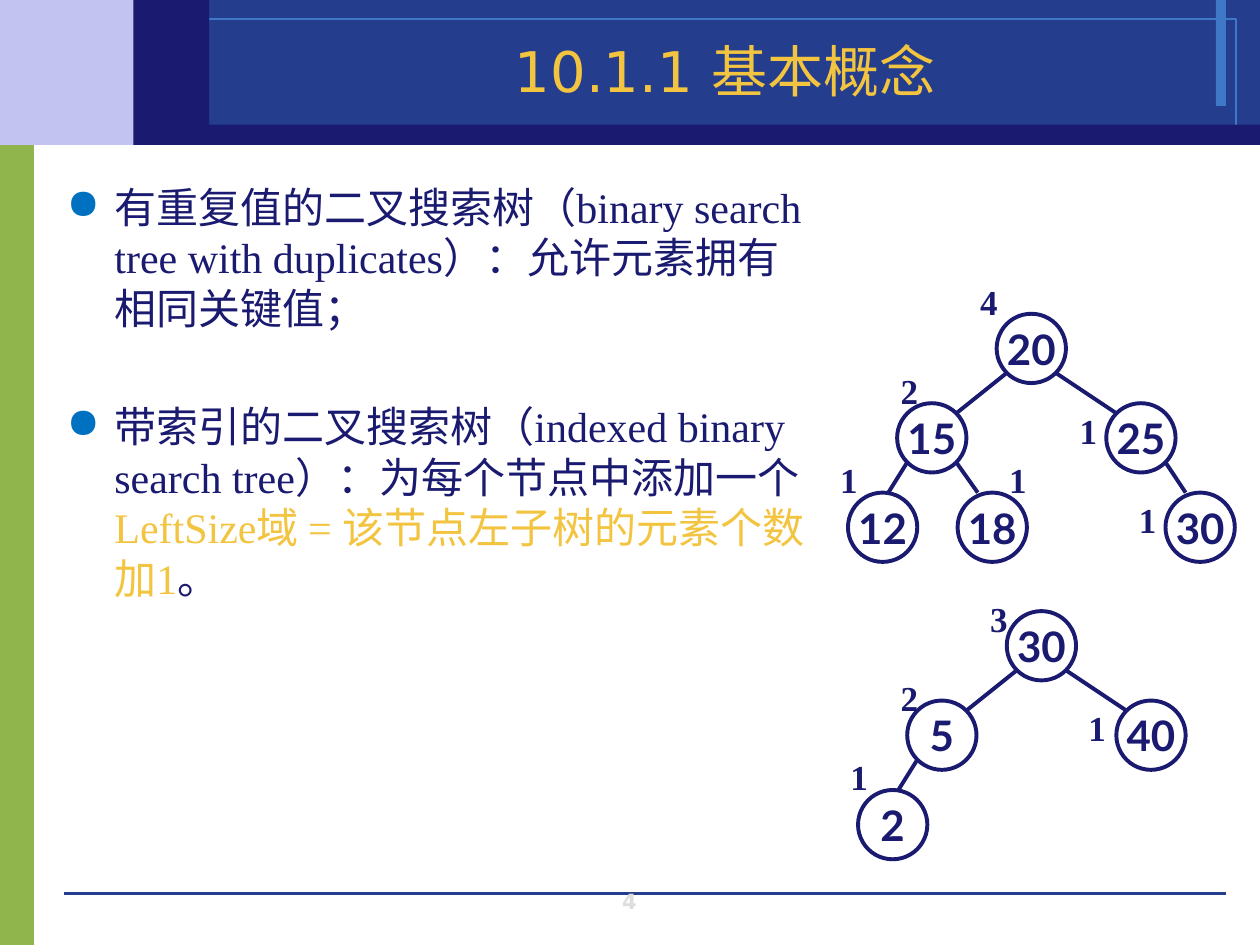
from pptx import Presentation
from pptx.dml.color import RGBColor
from pptx.enum import shapes, text
from pptx.oxml import ns, xmlchemy
from pptx.util import Inches, Pt

NAVY = RGBColor(0x1A, 0x1A, 0x70)
BLUE = RGBColor(0x24, 0x3D, 0x8C)
SKY = RGBColor(0x3E, 0x78, 0xC6)
LILAC = RGBColor(0xC3, 0xC3, 0xF1)
GREEN = RGBColor(0x90, 0xB5, 0x4D)
GOLD = RGBColor(0xF3, 0xC4, 0x3F)
GREY = RGBColor(0xDD, 0xDD, 0xDD)
BULLET = "0070C0"
SANS, SERIF, NODE_FONT = "DejaVu Sans", "Times New Roman", "Lato"

TITLE = "10.1.1 基本概念"
PAGE_NUMBER = "4"
BULLETS = [
    [("有重复值的二叉搜索树（binary search tree with duplicates）：允许元素拥有相同关键值；", NAVY)],
    [("带索引的二叉搜索树（indexed binary search tree）：为每个节点中添加一个", NAVY),
     ("LeftSize域 = 该节点左子树的元素个数加1", GOLD),
     ("。", NAVY)],
]
# left, top, width, height, fill, line
BANDS = [
    (0, 1.07, 0.27, 6.43, GREEN, None),
    (0, 0, 1.53, 1.15, LILAC, None),
    (1.53, 0, 8.47, 1.15, BLUE, None),
    (9.65, 0, 0.08, 0.84, SKY, None),
    (1.19, 0.15, 8.62, 0.85, None, SKY),
    (1.3, 0.99, 8.7, 0.16, NAVY, None),
    (1.06, 0, 0.6, 1.15, NAVY, None),
]
# Per tree: top of the root, then nodes as
# (key, left, level, index of parent, left size, label left, label drop from node top)
TREES = [
    (2.49, [
        ("20", 7.91, 0, None, "4", 7.68, -0.31),
        ("15", 7.12, 1, 0, "2", 7.05, -0.32),
        ("25", 8.78, 1, 0, "1", 8.47, 0),
        ("12", 6.73, 2, 1, "1", 6.57, -0.32),
        ("18", 7.6, 2, 1, "1", 7.91, -0.32),
        ("30", 9.25, 2, 2, "1", 8.94, 0),
    ]),
    (4.85, [
        ("30", 7.99, 0, None, "3", 7.76, -0.16),
        ("5", 7.2, 1, 0, "2", 7.05, -0.24),
        ("40", 8.86, 1, 0, "1", 8.54, 0),
        ("2", 6.81, 2, 1, "1", 6.65, -0.32),
    ]),
]
LEVEL_STEP, NODE_SIZE, NEAR, FAR = 0.71, 0.55, 0.08, 0.47
EDGE_WIDTH = 2.25


def style_run(span, font, size, color, bold=False):
    span.font.name, span.font.size, span.font.bold = font, Pt(size), bold
    span.font.color.rgb = color


def add_shape(page, kind, left, top, width, height, fill=None, line=None, line_width=0):
    shape = page.shapes.add_shape(kind, *map(Inches, (left, top, width, height)))
    shape.shadow.inherit = False
    if fill is None:
        shape.fill.background()
    else:
        shape.fill.solid()
        shape.fill.fore_color.rgb = fill
    if line is None:
        shape.line.fill.background()
    else:
        shape.line.color.rgb = line
        shape.line.width = Pt(line_width)
    return shape


def add_line(page, start, end, color, width):
    line = page.shapes.add_connector(
        shapes.MSO_CONNECTOR.STRAIGHT, *map(Inches, (*start, *end)))
    line.line.color.rgb = color
    line.line.width = Pt(width)
    line._element.spPr.append(xmlchemy.OxmlElement("a:effectLst"))


def add_text(page, left, top, width, height, words, font, size, color, bold=False,
             align=text.PP_ALIGN.CENTER, anchor=text.MSO_ANCHOR.BOTTOM):
    box = page.shapes.add_textbox(*map(Inches, (left, top, width, height)))
    frame = box.text_frame
    frame.word_wrap, frame.vertical_anchor = True, anchor
    frame.text = words
    para = frame.paragraphs[0]
    para.alignment = align
    style_run(para.runs[0], font, size, color, bold)


def set_bullet(para):
    props = para._p.get_or_add_pPr()
    props.set("marL", str(Inches(0.38)))
    props.set("indent", str(-Inches(0.38)))
    color = xmlchemy.OxmlElement("a:buClr")
    value = xmlchemy.OxmlElement("a:srgbClr")
    value.set("val", BULLET)
    color.append(value)
    mark = xmlchemy.OxmlElement("a:buChar")
    mark.set("char", "●")
    props.extend([color, mark])


def add_bullets(page):
    box = page.shapes.add_textbox(Inches(0.43), Inches(1.39), Inches(6.14), Inches(5.51))
    frame = box.text_frame
    frame.word_wrap = True
    for index, parts in enumerate(BULLETS):
        para = frame.paragraphs[0] if index == 0 else frame.add_paragraph()
        if index:
            para.space_before = Pt(39)
        set_bullet(para)
        for words, color in parts:
            span = para.add_run()
            span.text = words
            style_run(span, SERIF, 24, color)


def add_tree(page, root_top, nodes):
    places = [(node[1], root_top + node[2] * LEVEL_STEP) for node in nodes]
    for (key, _, level, parent, size, label_left, drop), (left, top) in zip(nodes, places):
        if parent is not None:
            parent_left, parent_top = places[parent]
            goes_left = left < parent_left
            start = (parent_left + (NEAR if goes_left else FAR), parent_top + FAR)
            if level == 1:
                end = (left + (FAR if goes_left else NEAR), top + NEAR)
            else:
                end = (left + (0.32 if goes_left else 0.16), top)
            add_line(page, start, end, NAVY, EDGE_WIDTH)
        circle = add_shape(page, shapes.MSO_SHAPE.OVAL, left, top, NODE_SIZE, NODE_SIZE,
                           line=NAVY, line_width=EDGE_WIDTH)
        frame = circle.text_frame
        frame.word_wrap, frame.vertical_anchor = False, text.MSO_ANCHOR.MIDDLE
        frame.text = key
        frame.paragraphs[0].alignment = text.PP_ALIGN.CENTER
        style_run(frame.paragraphs[0].runs[0], NODE_FONT, 24, NAVY, True)
        add_text(page, label_left, top + drop, 0.31, 0.43, size, SERIF, 20, NAVY, True,
                 text.PP_ALIGN.LEFT, text.MSO_ANCHOR.TOP)


def main():
    deck = Presentation()
    deck.slide_width, deck.slide_height = Inches(10), Inches(7.5)
    page = deck.slides.add_slide(deck.slide_layouts[6])
    for band in BANDS:
        add_shape(page, shapes.MSO_SHAPE.RECTANGLE, *band)
    add_line(page, (0.51, 7.09), (9.73, 7.09), BLUE, 0)
    add_text(page, 3.83, 7.05, 2.33, 0.25, PAGE_NUMBER, SANS, 12, GREY, True)
    add_text(page, 1.46, 0.12, 8.59, 0.75, TITLE, SANS, 32, GOLD)
    add_bullets(page)
    for root_top, nodes in TREES:
        add_tree(page, root_top, nodes)
    deck.save("out.pptx")


if __name__ == "__main__":
    main()
